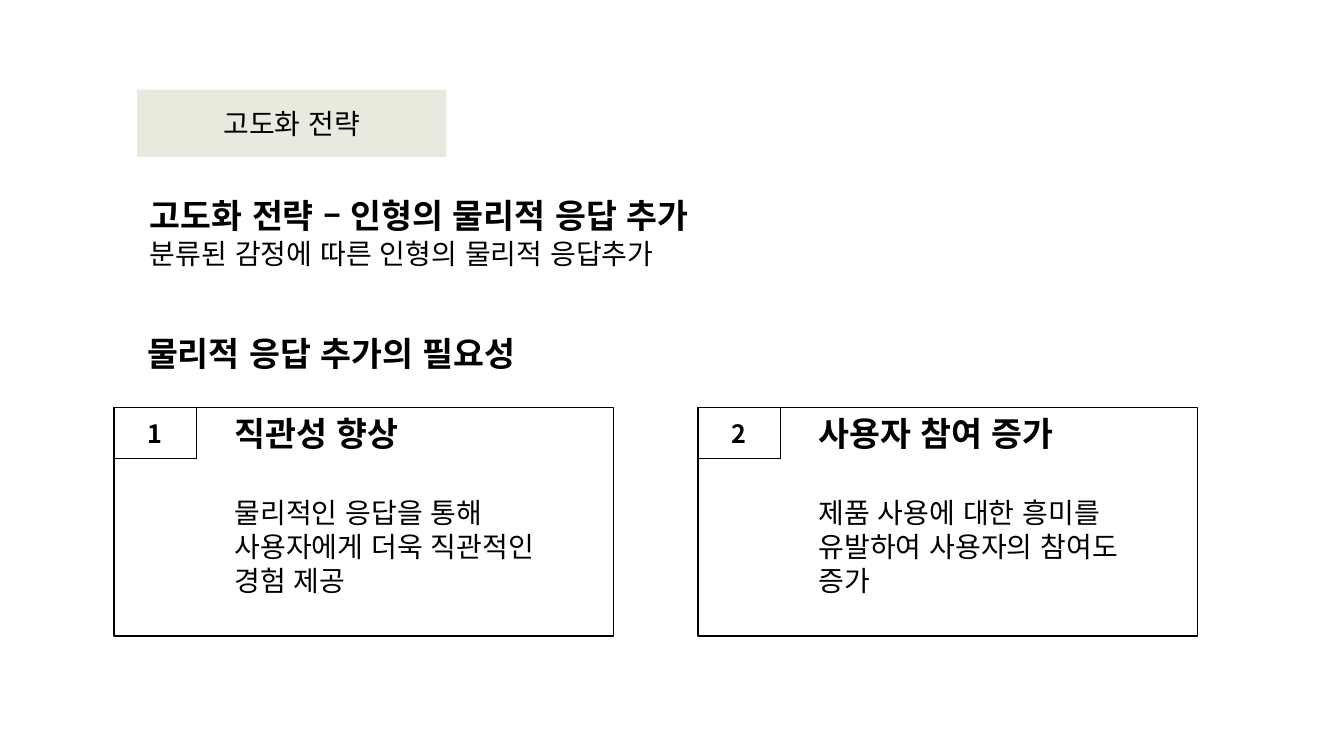
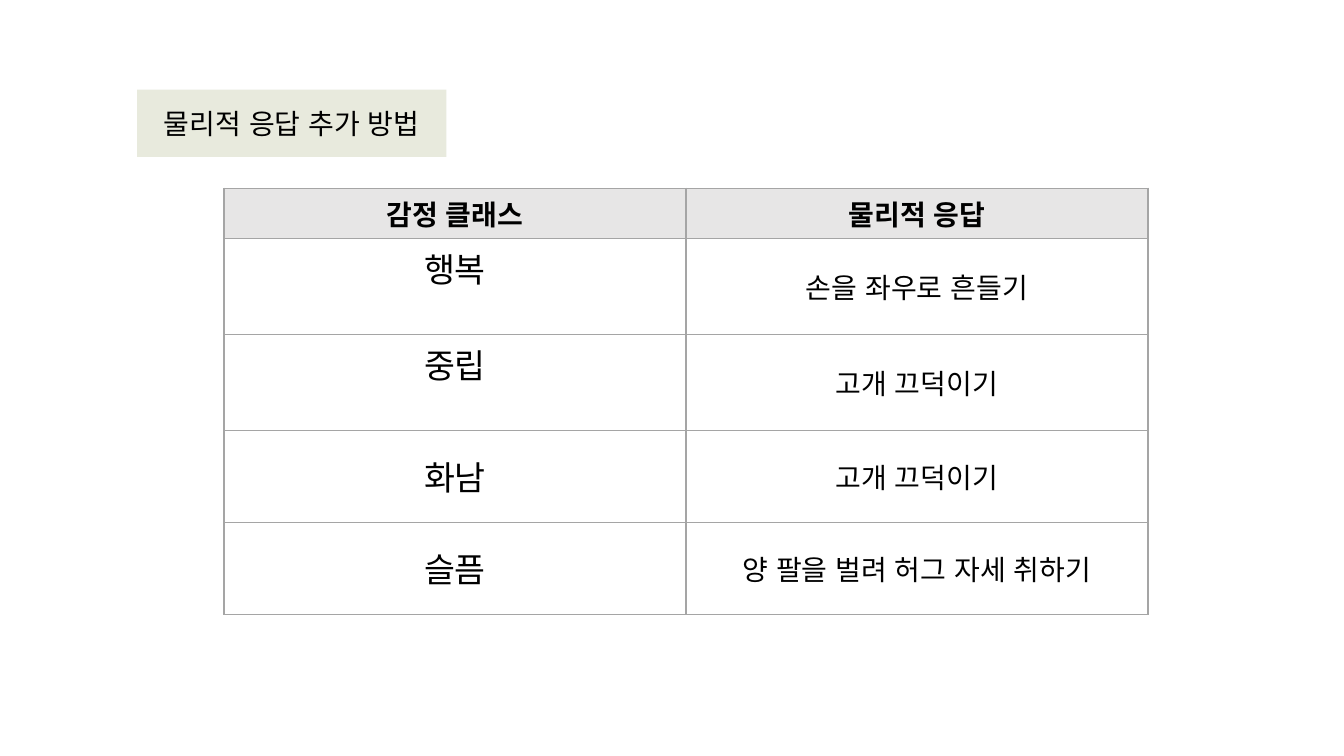
from dataclasses import dataclass
from typing import Any, NamedTuple

from lxml.etree import SubElement
from pptx import Presentation
from pptx.dml.color import RGBColor
from pptx.enum.lang import MSO_LANGUAGE_ID
from pptx.enum.shapes import MSO_SHAPE
from pptx.enum.text import MSO_ANCHOR, PP_ALIGN
from pptx.oxml.ns import qn
from pptx.util import Pt


@dataclass(frozen=True)
class Theme:
    font: str = "Noto Sans CJK KR"
    ink: str = "000000"
    paper: str = "FFFFFF"
    band: str = "E8EADD"
    header: str = "E7E6E6"
    grid: str = "A5A5A5"
    title: int = 24
    body: int = 20
    badge: int = 18
    line: float = 1
    leading: float = 1.22


class Box(NamedTuple):
    left: float
    top: float
    width: float
    height: float


class Line(NamedTuple):
    text: str
    size: int
    bold: bool = False
    before: float = 0


class Card(NamedTuple):
    title: str
    body: str


class Row(NamedTuple):
    mood: str
    action: str
    height: float
    anchor: MSO_ANCHOR


THEME = Theme()
TAG = Box(98, 64, 221, 48.2)
CARD = Box(81.4, 291, 357, 163.2)
CARD_STEP = 417.2
BADGE_WIDTH, BADGE_HEIGHT = 59, 36.4
TEXT_INDENT = 79
TABLE_LEFT, TABLE_TOP, COLUMN = 160, 134.4, 330
HEADER_HEIGHT = 36.2

CARDS = [
    Card("직관성 향상", "물리적인 응답을 통해 사용자에게 더욱 직관적인 경험 제공"),
    Card("사용자 참여 증가", "제품 사용에 대한 흥미를 유발하여 사용자의 참여도 증가"),
]
ROWS = [
    Row("행복", "손을 좌우로 흔들기", 68.4, MSO_ANCHOR.TOP),
    Row("중립", "고개 끄덕이기", 68.4, MSO_ANCHOR.TOP),
    Row("화남", "고개 끄덕이기", 65.7, MSO_ANCHOR.MIDDLE),
    Row("슬픔", "양 팔을 벌려 허그 자세 취하기", 65.7, MSO_ANCHOR.MIDDLE),
]


def color(code: str) -> RGBColor:
    return RGBColor.from_string(code)


def points(box: Box) -> list[Pt]:
    return [Pt(value) for value in box]


def write(frame: Any, lines: list[Line], align: PP_ALIGN, tight: bool = True) -> None:
    frame.word_wrap = True
    for index, line in enumerate(lines):
        para = frame.add_paragraph() if index else frame.paragraphs[0]
        para.alignment = align
        para.space_before = Pt(line.before)
        if tight:
            para.line_spacing = Pt(round(line.size * THEME.leading, 1))
        run = para.add_run()
        run.text = line.text
        font = run.font
        font.size, font.bold, font.name = Pt(line.size), line.bold, THEME.font
        font.color.rgb = color(THEME.ink)
        font.language_id = MSO_LANGUAGE_ID.KOREAN
        SubElement(run._r.get_or_add_rPr(), qn("a:ea"), typeface=THEME.font)


def add_text(slide: Any, box: Box, lines: list[Line]) -> None:
    shape = slide.shapes.add_textbox(*points(box))
    write(shape.text_frame, lines, PP_ALIGN.LEFT)


def add_panel(slide: Any, box: Box, fill: str, lines: list[Line], outline: bool = True) -> None:
    shape = slide.shapes.add_shape(MSO_SHAPE.RECTANGLE, *points(box))
    shape.shadow.inherit = False
    shape.fill.solid()
    shape.fill.fore_color.rgb = color(fill)
    if outline:
        shape.line.color.rgb = color(THEME.ink)
        shape.line.width = Pt(THEME.line)
    else:
        shape.line.fill.background()
    shape.text_frame.vertical_anchor = MSO_ANCHOR.MIDDLE
    write(shape.text_frame, lines, PP_ALIGN.CENTER)


def add_slide(deck: Any, tag: str) -> Any:
    slide = deck.slides.add_slide(deck.slide_layouts[6])
    add_panel(slide, TAG, THEME.band, [Line(tag, THEME.body)], outline=False)
    return slide


def add_card(slide: Any, index: int, card: Card) -> None:
    box = CARD._replace(left=CARD.left + index * CARD_STEP)
    add_panel(slide, box, THEME.paper, [])
    badge = box._replace(width=BADGE_WIDTH, height=BADGE_HEIGHT)
    add_panel(slide, badge, THEME.paper, [Line(str(index + 1), THEME.badge, True)])
    add_text(slide, Box(box.left + TEXT_INDENT, box.top, 258, 143.3), [
        Line(card.title, THEME.title, True),
        Line(card.body, THEME.body, before=29.3),
    ])


def fill_cell(cell: Any, line: Line, fill: str, anchor: MSO_ANCHOR) -> None:
    props = cell._tc.get_or_add_tcPr()
    for side in ("lnL", "lnR", "lnT", "lnB"):
        edge = SubElement(props, qn(f"a:{side}"), w=str(Pt(THEME.line)))
        solid = SubElement(edge, qn("a:solidFill"))
        SubElement(solid, qn("a:srgbClr"), val=THEME.grid)
    cell.fill.solid()
    cell.fill.fore_color.rgb = color(fill)
    cell.vertical_anchor = anchor
    write(cell.text_frame, [line], PP_ALIGN.CENTER, tight=False)


def add_grid(slide: Any) -> None:
    heights = [HEADER_HEIGHT] + [row.height for row in ROWS]
    box = Box(TABLE_LEFT, TABLE_TOP, 2 * COLUMN, sum(heights))
    table = slide.shapes.add_table(len(heights), 2, *points(box)).table
    for column in table.columns:
        column.width = Pt(COLUMN)
    for row, height in zip(table.rows, heights):
        row.height = Pt(height)
    for index, text in enumerate(("감정 클래스", "물리적 응답")):
        head = Line(text, THEME.body, True)
        fill_cell(table.cell(0, index), head, THEME.header, MSO_ANCHOR.TOP)
    for index, row in enumerate(ROWS, 1):
        mood, action = Line(row.mood, THEME.title), Line(row.action, THEME.body)
        fill_cell(table.cell(index, 0), mood, THEME.paper, row.anchor)
        fill_cell(table.cell(index, 1), action, THEME.paper, MSO_ANCHOR.MIDDLE)


def main() -> None:
    deck = Presentation()
    deck.slide_width, deck.slide_height = Pt(960), Pt(540)

    plan = add_slide(deck, "고도화 전략")
    add_text(plan, Box(100, 135.4, 659, 113.8), [
        Line("고도화 전략 – 인형의 물리적 응답 추가", THEME.title, True),
        Line("분류된 감정에 따른 인형의 물리적 응답추가", THEME.body),
    ])
    add_text(plan, Box(98, 234, 479.5, 36), [
        Line("물리적 응답 추가의 필요성", THEME.title, True),
    ])
    for index, card in enumerate(CARDS):
        add_card(plan, index, card)

    add_grid(add_slide(deck, "물리적 응답 추가 방법"))
    deck.save("out.pptx")


if __name__ == "__main__":
    main()
